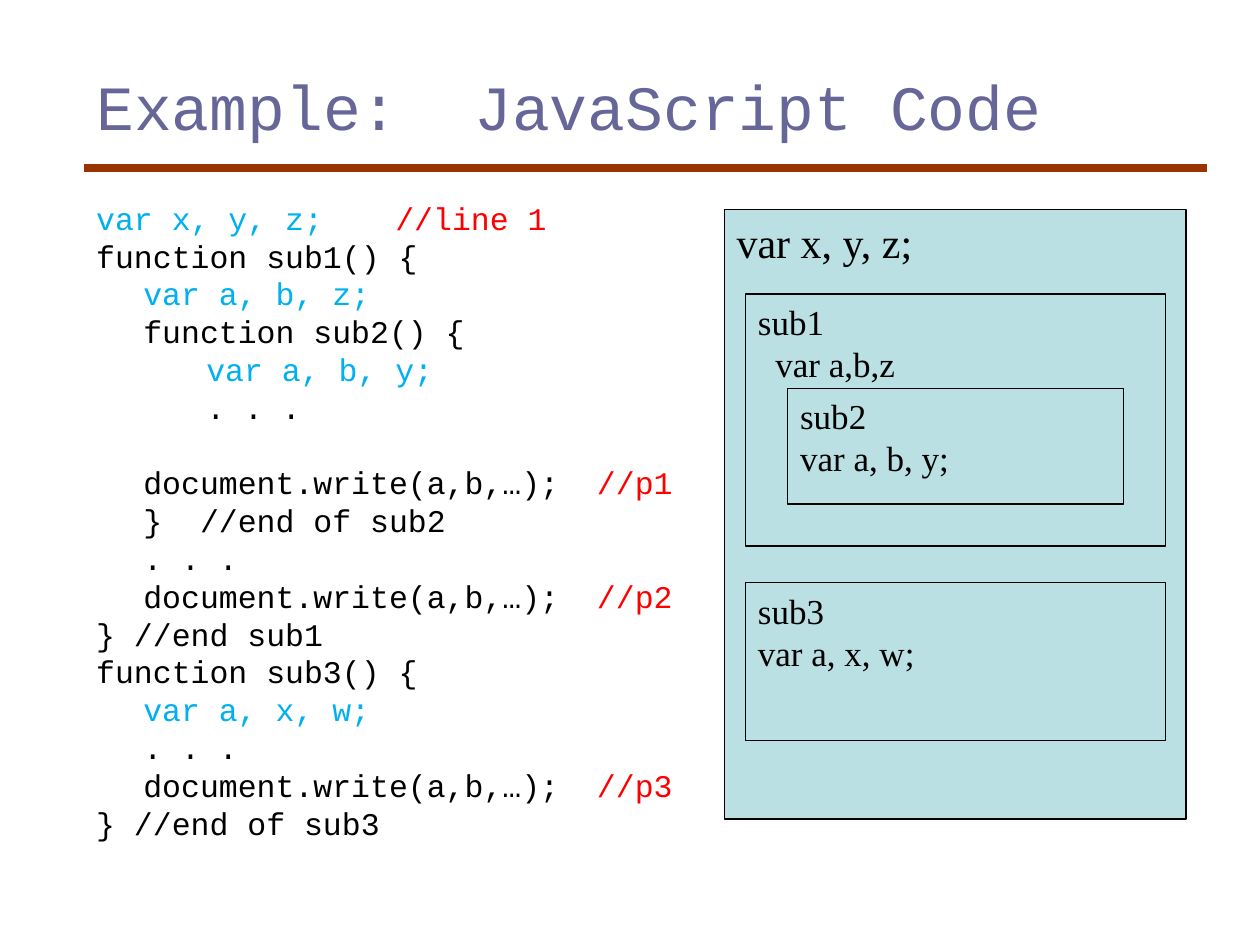
from dataclasses import dataclass

from lxml.etree import SubElement
from pptx import Presentation
from pptx.dml.color import RGBColor
from pptx.enum.shapes import MSO_CONNECTOR, MSO_SHAPE
from pptx.enum.text import MSO_ANCHOR, PP_ALIGN
from pptx.oxml.ns import qn
from pptx.util import Cm, Pt


@dataclass(frozen=True)
class Theme:
    """Colours, fonts and type sizes of the slide."""
    ink: str = "000000"
    title: str = "666699"
    rule: str = "993300"
    declaration: str = "00B0F0"
    marker: str = "FF0000"
    scope: str = "BBE0E3"
    code_font: str = "Courier New"
    scope_font: str = "Times New Roman"
    title_size: int = 36
    code_size: int = 18
    outer_size: int = 24
    inner_size: int = 20
    leading: float = 1.2


class SlideBuilder:
    """Draws styled elements on one slide."""

    def __init__(self, s, theme):
        self.s = s
        self.theme = theme

    def frame(self, sp, top=0.13):
        """Prepare a text frame anchored at the top."""
        tf = sp.text_frame
        tf.word_wrap = True
        tf.vertical_anchor = MSO_ANCHOR.TOP
        tf.margin_left = tf.margin_right = Cm(0.25)
        tf.margin_top, tf.margin_bottom = Cm(top), Cm(0.13)
        return tf

    def fill_lines(self, tf, lines, font, size, indent=0, hanging=0):
        """Fill a frame with lines, each a list of (text, colour) runs."""
        for i, line in enumerate(lines):
            p = tf.paragraphs[0] if i == 0 else tf.add_paragraph()
            p.alignment = PP_ALIGN.LEFT
            p.line_spacing = Pt(size * self.theme.leading)
            p.space_before = p.space_after = Pt(0)
            if indent:
                pPr = p._p.get_or_add_pPr()
                pPr.set("marL", str(Cm(indent)))
                pPr.set("indent", str(-Cm(hanging)))
            for text, color in line:
                r = p.add_run()
                r.text = text
                r.font.color.rgb = RGBColor.from_string(color)
                for f in (p.font, r.font):
                    f.name, f.size = font, Pt(size)

    def title(self, text, x, y, w, h):
        """Place and format the title placeholder."""
        sp = self.s.shapes.title
        sp.left, sp.top, sp.width, sp.height = map(Cm, (x, y, w, h))
        t = self.theme
        self.fill_lines(self.frame(sp, 0.3), [[(text, t.title)]], t.code_font, t.title_size)

    def rule(self, x, y, w):
        """Draw the horizontal rule under the title."""
        sp = self.s.shapes.add_connector(
            MSO_CONNECTOR.STRAIGHT, Cm(x), Cm(y), Cm(x + w), Cm(y))
        sp.line.color.rgb = RGBColor.from_string(self.theme.rule)
        sp.line.width = Pt(4.5)
        SubElement(sp._element.spPr, qn("a:effectLst"))

    def code(self, lines, x, y, w, h):
        """Add the code listing with a hanging indent."""
        sp = self.s.shapes.add_textbox(Cm(x), Cm(y), Cm(w), Cm(h))
        t = self.theme
        self.fill_lines(self.frame(sp, 0.2), lines, t.code_font, t.code_size, 0.95, 0.95)

    def scope(self, lines, x, y, w, h, size):
        """Add a scope box and return its text frame."""
        t = self.theme
        sp = self.s.shapes.add_shape(MSO_SHAPE.RECTANGLE, Cm(x), Cm(y), Cm(w), Cm(h))
        sp.shadow.inherit = False
        sp.fill.solid()
        sp.fill.fore_color.rgb = RGBColor.from_string(t.scope)
        sp.line.color.rgb = RGBColor.from_string(t.ink)
        sp.line.width = Pt(0.75)
        tf = self.frame(sp)
        self.fill_lines(tf, [[(line, t.ink)] for line in lines], t.scope_font, size)
        return tf


def main():
    """Build and save the slide."""
    prs = Presentation()
    prs.slide_width, prs.slide_height = Cm(25.4), Cm(19.05)
    t = Theme()
    b = SlideBuilder(prs.slides.add_slide(prs.slide_layouts[5]), t)

    b.rule(1.69, 3.39, 22.65)
    b.title("Example:  JavaScript Code", 1.69, 1.06, 22.65, 3.18)

    ink, var, mark = t.ink, t.declaration, t.marker
    output_call = "document.write(a,b,…);  "
    b.code([
        [("var x, y, z; \t", var), ("//line 1", mark)],
        [("function sub1() {", ink)],
        [("\tvar a, b, z;", var)],
        [("\tfunction sub2() {", ink)],
        [("\t\tvar a, b, y;", var)],
        [("\t\t. . .", ink)],
        [("\t\t" + output_call, ink), ("//p1", mark)],
        [("\t}  //end of sub2", ink)],
        [("\t. . .", ink)],
        [("\t" + output_call, ink), ("//p2", mark)],
        [("} //end sub1", ink)],
        [("function sub3() {", ink)],
        [("\tvar a, x, w;", var)],
        [("\t. . .", ink)],
        [("\t" + output_call, ink), ("//p3", mark)],
        [("} //end of sub3", ink)],
    ], 1.69, 3.81, 12.49, 13.33)

    b.scope(["var x, y, z;"], 14.6, 4.23, 9.31, 12.28, t.outer_size)
    sub1 = b.scope(["sub1", "var a,b,z"], 15.03, 5.93, 8.47, 5.08, t.inner_size)
    sub1.paragraphs[1]._p.get_or_add_pPr().set("marL", str(Cm(0.35)))
    b.scope(["sub2", "var a, b, y;"], 15.88, 7.83, 6.77, 2.33, t.inner_size)
    b.scope(["sub3", "var a, x, w;"], 15.03, 11.75, 8.47, 3.18, t.inner_size)

    prs.save("out.pptx")


if __name__ == "__main__":
    main()
